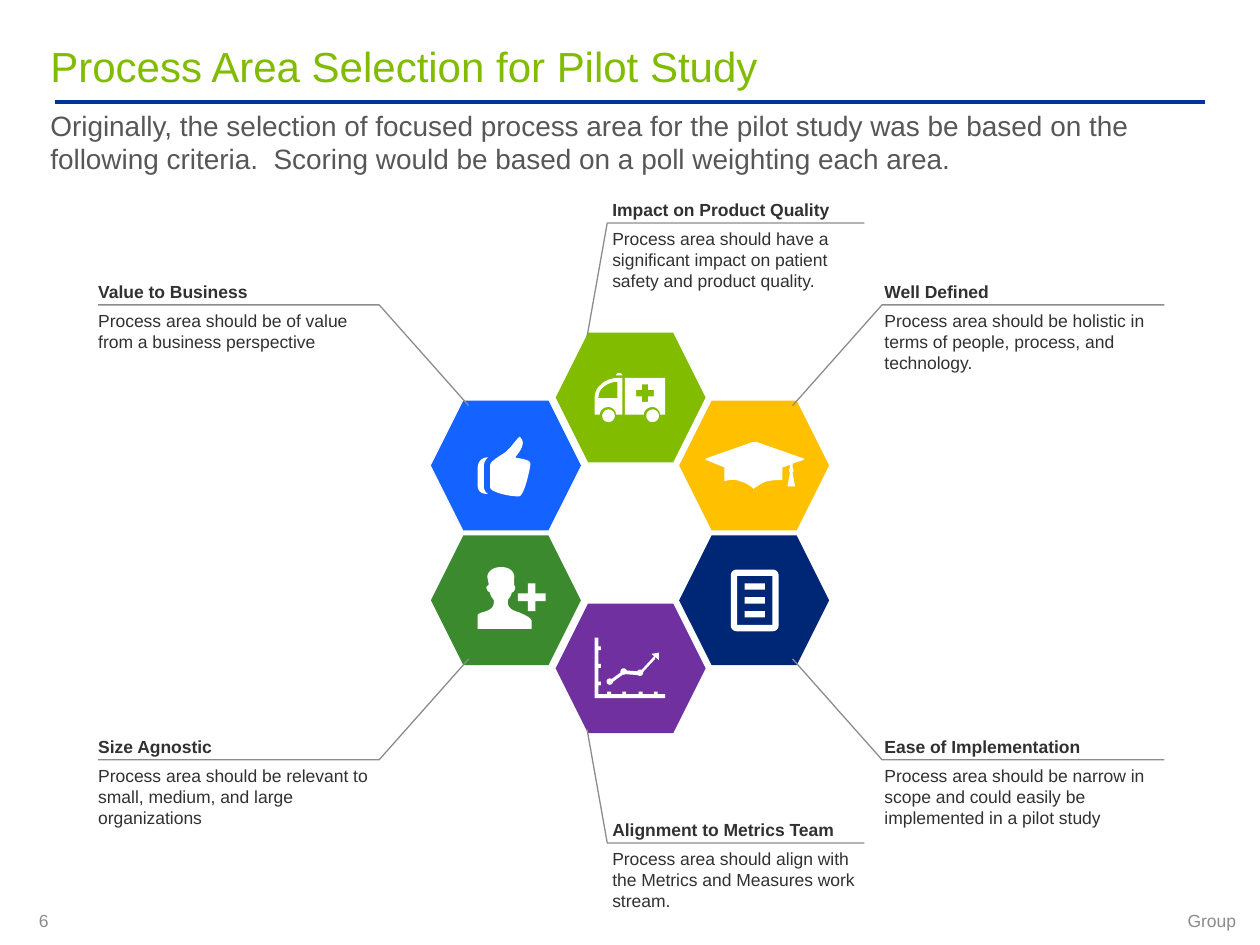
"""Build the slide on process area selection criteria for the pilot study."""
from math import cos, pi, sin

from pptx import Presentation
from pptx.dml.color import RGBColor
from pptx.enum.shapes import MSO_CONNECTOR, MSO_SHAPE
from pptx.enum.text import MSO_ANCHOR, PP_ALIGN
from pptx.util import Inches, Pt
from lxml import etree

HEXAGON, STRAIGHT = MSO_SHAPE.HEXAGON, MSO_CONNECTOR.STRAIGHT
TOP, MIDDLE = MSO_ANCHOR.TOP, MSO_ANCHOR.MIDDLE
LEFT, RIGHT = PP_ALIGN.LEFT, PP_ALIGN.RIGHT
FONT = "Arial"
COLORS = {
    "lime": "81BC00", "purple": "7030A0", "navy": "002776", "amber": "FFC000",
    "green": "3C8A2E", "blue": "1462FF", "rule": "003399", "gray": "8C8C8C",
    "subtitle": "575757", "ink": "313131", "white": "FFFFFF",
}
TITLE = "Process Area Selection for Pilot Study"
SUBTITLE = ("Originally, the selection of focused process area for the pilot study was be "
            "based on the following criteria.  Scoring would be based on a poll weighting each area.")
FOOTER, PAGE = "Group", "6"
HEX_W, HEX_H = 1.19, 1.03
HEXAGONS = [
    ("lime", 4.41, 2.64), ("purple", 4.41, 4.79), ("navy", 5.39, 4.25),
    ("amber", 5.39, 3.18), ("green", 3.42, 4.25), ("blue", 3.42, 3.18),
]
CALLOUTS = [
    ("Impact on Product Quality",
     "Process area should have a significant impact on patient safety and product quality.",
     4.86, 2, [(4.66, 2.67), (4.82, 1.77), (6.86, 1.77)]),
    ("Well Defined",
     "Process area should be holistic in terms of people, process, and technology.",
     7.02, 2.2, [(6.29, 3.22), (7, 2.42), (9.24, 2.42)]),
    ("Ease of Implementation",
     "Process area should be narrow in scope and could easily be implemented in a pilot study",
     7.02, 2.2, [(6.29, 5.23), (7, 6.03), (9.24, 6.03)]),
    ("Alignment to Metrics Team",
     "Process area should align with the Metrics and Measures work stream.",
     4.86, 2, [(4.66, 5.79), (4.82, 6.69), (6.86, 6.69)]),
    ("Size Agnostic",
     "Process area should be relevant to small, medium, and large organizations",
     0.78, 2.2, [(3.72, 5.23), (3.01, 6.03), (0.78, 6.03)]),
    ("Value to Business",
     "Process area should be of value from a business perspective",
     0.78, 2.2, [(3.72, 3.22), (3.01, 2.42), (0.78, 2.42)]),
]


def box(left, top, right, bottom):
    return [(left, top), (right, top), (right, bottom), (left, bottom)]


def circle(x, y, r, steps=32):
    return [(x + r * cos(2 * pi * i / steps), y + r * sin(2 * pi * i / steps))
            for i in range(steps)]


def cross(x, y, reach, half):
    a, b = reach, half
    corners = [(-b, -a), (b, -a), (b, -b), (a, -b), (a, b), (b, b),
               (b, a), (-b, a), (-b, b), (-a, b), (-a, -b), (-b, -b)]
    return [(x + dx, y + dy) for dx, dy in corners]


TREND = [(4.84, 5.41), (4.95, 5.33), (5.08, 5.34), (5.2, 5.21)]
BAND = [(x, y - 0.01) for x, y in TREND] + [(x, y + 0.02) for x, y in reversed(TREND)]
CAP = [
    (6.38, 3.64), (6.01, 3.51), (5.97, 3.51), (5.6, 3.64), (5.6, 3.65), (5.75, 3.71),
    (5.75, 3.82), (5.78, 3.81, 5.83, 3.8, 5.87, 3.82), (5.92, 3.83, 5.96, 3.86, 5.98, 3.88),
    (6.01, 3.86, 6.05, 3.83, 6.09, 3.82), (6.14, 3.81, 6.18, 3.81, 6.21, 3.81),
    (6.21, 3.71), (6.27, 3.69), (6.27, 3.71), (6.26, 3.74), (6.27, 3.75), (6.25, 3.86),
    (6.31, 3.86), (6.29, 3.75), (6.3, 3.74), (6.29, 3.71), (6.29, 3.68), (6.38, 3.65),
]
AMBULANCE = [
    [(4.89, 2.98), (4.89, 2.97, 4.9, 2.96, 4.91, 2.96), (4.93, 2.96, 4.94, 2.97, 4.94, 2.98)],
    [(4.72, 3.15), (4.72, 3.29), (4.76, 3.29), (4.76, 3.26, 4.79, 3.23, 4.83, 3.23),
     (4.86, 3.23, 4.89, 3.26, 4.89, 3.29), (4.94, 3.29), (4.94, 3), (4.9, 3),
     (4.81, 3, 4.72, 3.07, 4.72, 3.15)],
    [(4.9, 3.16), (4.75, 3.16), (4.75, 3.15), (4.75, 3.08, 4.83, 3.03, 4.9, 3.03)],
    [(4.96, 3), (4.96, 3.29), (5.11, 3.29), (5.11, 3.26, 5.14, 3.23, 5.18, 3.23),
     (5.21, 3.23, 5.24, 3.26, 5.24, 3.29), (5.28, 3.29), (5.28, 3)],
    cross(5.12, 3.12, 0.07, 0.025), circle(4.83, 3.3, 0.05), circle(5.18, 3.3, 0.05),
]
THUMB = [
    [(4.09, 3.63), (4.09, 3.62, 4.19, 3.53, 4.13, 3.47), (4.12, 3.45, 4.07, 3.54, 4.01, 3.59),
     (3.98, 3.61, 3.89, 3.66, 3.89, 3.69), (3.89, 3.87), (3.89, 3.9, 4.02, 3.94, 4.12, 3.94),
     (4.16, 3.94, 4.21, 3.71, 4.21, 3.68), (4.21, 3.64, 4.1, 3.64, 4.09, 3.63)],
    [(3.87, 3.63), (3.85, 3.63, 3.79, 3.64, 3.79, 3.72), (3.79, 3.85),
     (3.79, 3.92, 3.85, 3.92, 3.87, 3.92), (3.88, 3.92, 3.84, 3.91, 3.84, 3.86),
     (3.84, 3.7), (3.84, 3.65, 3.88, 3.63, 3.87, 3.63)],
]
PERSON = [
    [(4.12, 4.86), (4.05, 4.84, 4.03, 4.82, 4.03, 4.77), (4.03, 4.75, 4.05, 4.75, 4.06, 4.71),
     (4.07, 4.69, 4.08, 4.71, 4.09, 4.66), (4.08, 4.64), (4.08, 4.59),
     (4.09, 4.57, 4.07, 4.5, 3.98, 4.5), (3.88, 4.5, 3.86, 4.57, 3.87, 4.59), (3.88, 4.64),
     (3.86, 4.66), (3.87, 4.71, 3.89, 4.69, 3.89, 4.71), (3.9, 4.75, 3.92, 4.75, 3.92, 4.77),
     (3.92, 4.82, 3.9, 4.84, 3.83, 4.86), (3.82, 4.86, 3.8, 4.87, 3.79, 4.88),
     (3.79, 4.99), (4.22, 4.99), (4.22, 4.93), (4.22, 4.91, 4.19, 4.89, 4.12, 4.86)],
    cross(4.22, 4.74, 0.11, 0.03),
]
DOCUMENT = [
    [(5.85, 4.52), (6.13, 4.52), (6.16, 4.52, 6.18, 4.54, 6.18, 4.57), (6.18, 4.96),
     (6.18, 4.99, 6.16, 5.01, 6.13, 5.01), (5.85, 5.01), (5.82, 5.01, 5.8, 4.99, 5.8, 4.96),
     (5.8, 4.57), (5.8, 4.54, 5.82, 4.52, 5.85, 4.52)],
    box(5.85, 4.57, 6.13, 4.96),
] + [box(5.91, y, 6.07, y + 0.05) for y in (4.63, 4.74, 4.85)]
AXES = [[(4.72, 5.06), (4.75, 5.06), (4.75, 5.51), (5.28, 5.51), (5.28, 5.54), (4.72, 5.54)]]
AXES += [box(4.75, y, 4.77, y + 0.03) for y in (5.13, 5.27, 5.41)]
AXES += [box(x, 5.49, x + 0.03, 5.51) for x in (4.82, 4.94, 5.07, 5.19)]
MARKERS = [circle(x, y, 0.025) for x, y in TREND[:3]]
ARROW = [(5.17, 5.19), (5.23, 5.18), (5.23, 5.24)]
ICONS = [[CAP], AMBULANCE, THUMB, AXES, [BAND], MARKERS + [ARROW], DOCUMENT, PERSON]


def rgb(name):
    return RGBColor.from_string(COLORS[name])


def flatten(outline, steps=8):
    points = []
    for item in outline:
        if len(item) == 2:
            points.append(item)
            continue
        curve = [points[-1], item[:2], item[2:4], item[4:]]
        for i in range(1, steps + 1):
            t = i / steps
            weights = ((1 - t) ** 3, 3 * t * (1 - t) ** 2, 3 * t * t * (1 - t), t ** 3)
            points.append(tuple(sum(w * c[axis] for w, c in zip(weights, curve))
                                for axis in (0, 1)))
    return [(Inches(x), Inches(y)) for x, y in points]


def add_outline(s, contours, close=True):
    first, *rest = [flatten(c) for c in contours]
    builder = s.shapes.build_freeform(*first[0], scale=1.0)
    builder.add_line_segments(first[1:], close=close)
    for points in rest:
        builder.move_to(*points[0])
        builder.add_line_segments(points[1:], close=close)
    sp = builder.convert_to_shape()
    sp.shadow.inherit = False
    return sp


def paint(sp, color):
    sp.shadow.inherit = False
    sp.fill.solid()
    sp.fill.fore_color.rgb = rgb(color)
    sp.line.fill.background()


def add_text(s, text, at, size, color, bold=False, align=LEFT, anchor=TOP):
    tf = s.shapes.add_textbox(*map(Inches, at)).text_frame
    tf.word_wrap = True
    tf.vertical_anchor = anchor
    tf.margin_left = tf.margin_right = tf.margin_top = tf.margin_bottom = 0
    p = tf.paragraphs[0]
    p.alignment = align
    r = p.add_run()
    r.text = text
    r.font.name, r.font.size, r.font.bold = FONT, Pt(size), bold
    r.font.color.rgb = rgb(color)


def main():
    prs = Presentation()
    prs.slide_width, prs.slide_height = Inches(10), Inches(7.5)
    s = prs.slides.add_slide(prs.slide_layouts[6])

    rule = s.shapes.add_connector(STRAIGHT, *map(Inches, (0.44, 0.81, 9.56, 0.81)))
    rule.line.color.rgb, rule.line.width = rgb("rule"), Pt(2.25)
    ns = "{http://schemas.openxmlformats.org/drawingml/2006/main}"
    etree.SubElement(rule._element.spPr, ns + "effectLst")
    add_text(s, TITLE, (0.4, 0.32, 9.2, 0.51), 24, "lime")
    add_text(s, SUBTITLE, (0.4, 0.86, 9.2, 0.83), 16, "subtitle")
    add_text(s, PAGE, (0.31, 7.22, 0.2, 0.17), 10, "gray", anchor=MIDDLE)
    add_text(s, FOOTER, (6.83, 7.22, 2.98, 0.17), 10, "gray", align=RIGHT, anchor=MIDDLE)

    for color, left, top in HEXAGONS:
        paint(s.shapes.add_shape(HEXAGON, *map(Inches, (left, top, HEX_W, HEX_H))), color)
    for heading, body, left, width, leader in CALLOUTS:
        sp = add_outline(s, [leader], close=False)
        sp.fill.background()
        sp.line.color.rgb, sp.line.width = rgb("gray"), Pt(0.75)
        y = leader[1][1]
        add_text(s, heading, (left, y - 0.19, width, 0.17), 10, "ink", bold=True)
        add_text(s, body, (left, y + 0.04, width, 0.5), 10, "ink")
    for contours in ICONS:
        paint(add_outline(s, contours), "white")

    prs.save("out.pptx")


if __name__ == "__main__":
    main()
